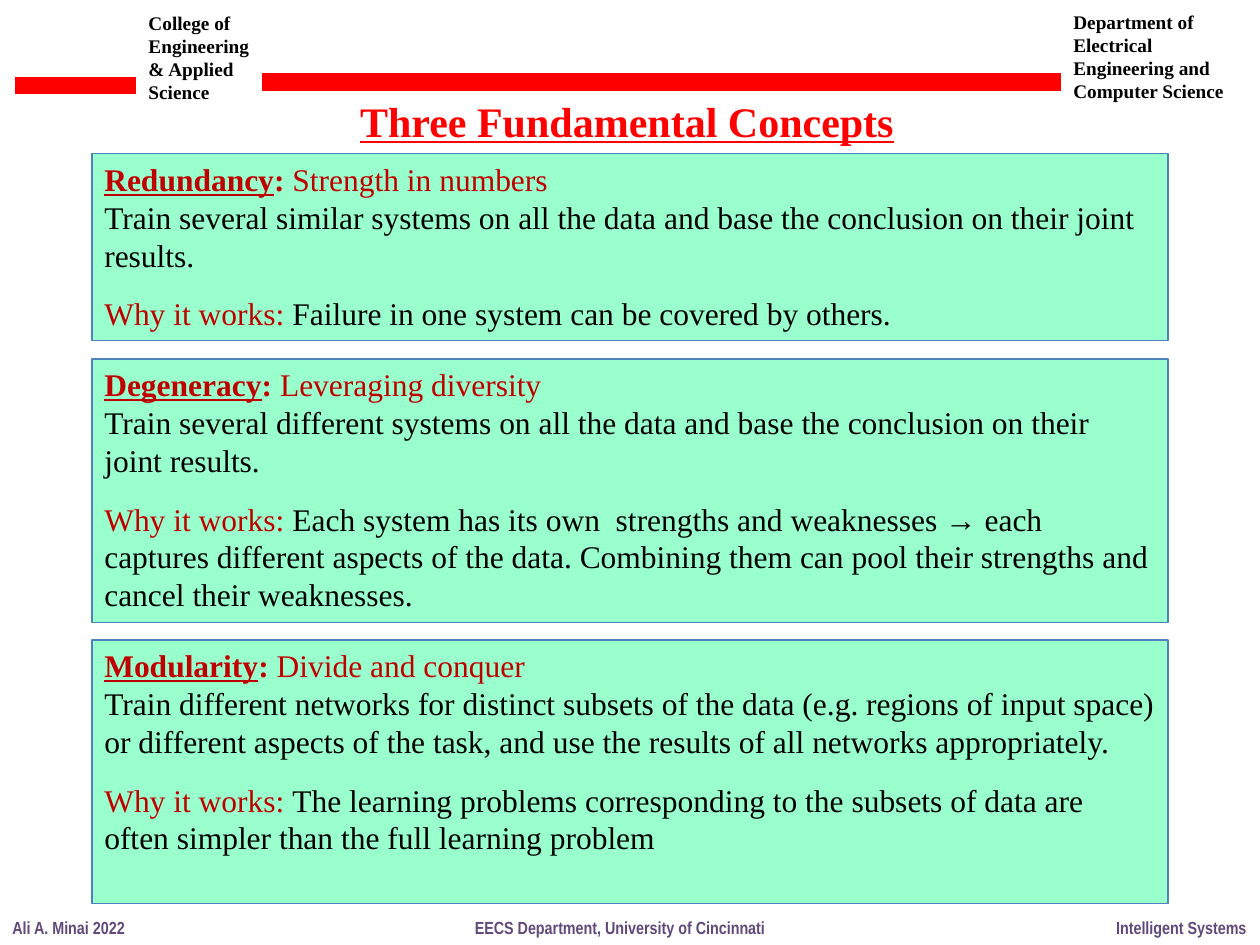
from pptx import Presentation
from pptx.dml.color import RGBColor
from pptx.enum.shapes import MSO_CONNECTOR, MSO_SHAPE
from pptx.enum.text import MSO_ANCHOR, PP_ALIGN
from pptx.oxml.ns import qn
from pptx.util import Inches, Pt
from lxml import etree

SERIF, NARROW = "Times New Roman", "Arial Narrow"
RED, DARK_RED, BLACK, PURPLE = "FF0000", "C00000", "000000", "604A7B"
MINT, BLUE = "99FFCC", "4F81BD"

CONCEPTS = [
    (1.22, 1.48, "Redundancy", "Strength in numbers",
     "Train several similar systems on all the data and base the conclusion "
     "on their joint results.",
     "Failure in one system can be covered by others."),
    (2.85, 2.09, "Degeneracy", "Leveraging diversity",
     "Train several different systems on all the data and base the conclusion "
     "on their joint results.",
     "Each system has its own  strengths and weaknesses → each captures "
     "different aspects of the data. Combining them can pool their strengths "
     "and cancel their weaknesses."),
    (5.08, 2.09, "Modularity", "Divide and conquer",
     "Train different networks for distinct subsets of the data (e.g. regions "
     "of input space) or different aspects of the task, and use the results "
     "of all networks appropriately.",
     "The learning problems corresponding to the subsets of data are often "
     "simpler than the full learning problem"),
]


def rgb(color):
    return RGBColor.from_string(color)


def add_run(p, text, color, **font):
    r = p.add_run()
    r.text = text
    r.font.color.rgb = rgb(color)
    for name, value in font.items():
        setattr(r.font, name, value)


def add_label(slide, box, lines, color, wrap=False, **font):
    """Add a text box with one bold paragraph per line."""
    tf = slide.shapes.add_textbox(*map(Inches, box)).text_frame
    tf.word_wrap = wrap
    for i, line in enumerate(lines):
        p = tf.add_paragraph() if i else tf.paragraphs[0]
        add_run(p, line, color, bold=True, **font)


def add_bar(slide, left, right, y):
    s = slide.shapes.add_connector(
        MSO_CONNECTOR.STRAIGHT, Inches(left), Inches(y), Inches(right), Inches(y))
    s.line.color.rgb = rgb(RED)
    s.line.width = Pt(10)
    etree.SubElement(s._element.spPr, qn("a:effectLst"))


def add_concept(slide, top, height, name, motto, method, reason):
    s = slide.shapes.add_shape(
        MSO_SHAPE.RECTANGLE, Inches(0.73), Inches(top), Inches(8.54), Inches(height))
    s.shadow.inherit = False
    s.fill.solid()
    s.fill.fore_color.rgb = rgb(MINT)
    s.line.color.rgb = rgb(BLUE)
    s.line.width = Pt(0.75)
    tf = s.text_frame
    tf.word_wrap = True
    tf.vertical_anchor = MSO_ANCHOR.TOP
    paragraphs = [
        [(name, DARK_RED, {"bold": True, "underline": True}),
         (": ", DARK_RED, {"bold": True}), (motto, DARK_RED, {})],
        [(method, BLACK, {})],
        [("Why it works: ", DARK_RED, {}), (reason, BLACK, {})],
    ]
    for i, runs in enumerate(paragraphs):
        p = tf.add_paragraph() if i else tf.paragraphs[0]
        p.alignment = PP_ALIGN.LEFT
        for text, color, style in runs:
            add_run(p, text, color, name=SERIF, size=Pt(18), **style)
    p.space_before = Pt(12)


def main():
    prs = Presentation()
    prs.slide_width, prs.slide_height = Inches(10), Inches(7.5)
    slide = prs.slides.add_slide(prs.slide_layouts[6])

    header = {"wrap": True, "name": SERIF, "size": Pt(11)}
    add_label(slide, (1.08, 0.04, 1.09, 0.84),
              ["College of Engineering & Applied", "Science"], BLACK, **header)
    add_label(slide, (8.42, 0.03, 1.47, 0.84),
              ["Department of Electrical Engineering and Computer Science"],
              BLACK, **header)
    add_bar(slide, 0.12, 1.08, 0.68)
    add_bar(slide, 2.08, 8.42, 0.65)

    for left, width, text in [
        (0, 1.1, "Ali A. Minai 2022"),
        (8.76, 1.24, "Intelligent Systems"),
        (3.67, 2.52, "EECS Department, University of Cincinnati"),
    ]:
        add_label(slide, (left, 7.23, width, 0.27), [text], PURPLE,
                  name=NARROW, size=Pt(10))

    add_label(slide, (2.76, 0.71, 4.48, 0.5), ["Three Fundamental Concepts"], RED,
              name=SERIF, size=Pt(24), underline=True)
    for concept in CONCEPTS:
        add_concept(slide, *concept)

    prs.save("out.pptx")


if __name__ == "__main__":
    main()
